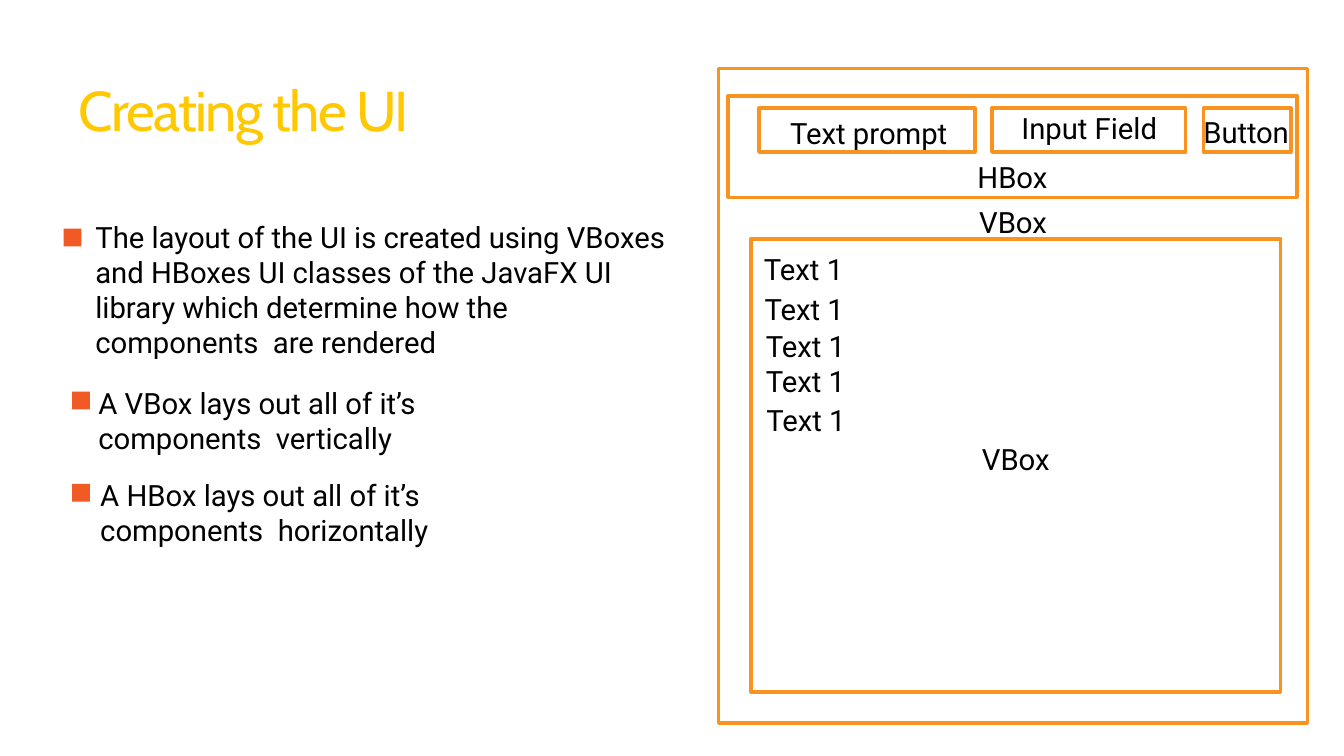
"""Build the slide on laying out a UI with nested boxes."""
from dataclasses import dataclass

from pptx import Presentation
from pptx import util as u
from pptx.dml.color import RGBColor
from pptx.enum import shapes, text

GOLD = RGBColor(0xFF, 0xC8, 0x00)
AMBER = RGBColor(0xF7, 0x93, 0x1E)
RUST = RGBColor(0xF1, 0x5A, 0x24)
BLACK = RGBColor(0, 0, 0)
LEFT, MID = text.PP_ALIGN.LEFT, text.PP_ALIGN.CENTER


@dataclass
class Line:
    words: str
    indent: float = 0
    before: float = 0
    align: text.PP_ALIGN = LEFT
    font: str = "Roboto"
    size: float = 34.5
    color: RGBColor = BLACK
    pitch: float | None = 41.3
    track: int = 0


@dataclass
class Box:
    left: float
    top: float
    width: float
    height: float
    inset: float
    lines: list[Line]

    def place(self) -> list[u.Pt]:
        return [u.Pt(n) for n in (self.left, self.top, self.width, self.height)]


TITLE = Box(92.9, 87.1, 414, 81.4, 1.6, [
    Line("Creating the UI", font="Cabin", size=66, color=GOLD, pitch=None, track=-200)])

BODY = Box(111.6, 255.6, 683.3, 390.2, 2.5, [
    Line("The layout of the UI is created using VBoxes and HBoxes UI classes of the "
         "JavaFX UI library which determine how the components  are rendered", 0.7),
    Line("A VBox lays out all of it’s\vcomponents  vertically", 4.3, 30.9),
    Line("A HBox lays out all of it’s\vcomponents  horizontally", 6.5, 25.2)])

ROW_TOP, ROW_HIGH = 127.4, 51.8
ITEMS = [Line("Text 1", indent, before) for indent, before in
         ((15.1, 0), (15.8, 6.4), (17.3, 1.5), (17.3, 0), (18, 5.3))]
FRAMES = [
    Box(846.7, 80.6, 693.4, 771.1, 160, [Line("VBox", align=MID)]),
    Box(894.2, ROW_TOP, 254.2, ROW_HIGH, 8.2, [Line("Text prompt", 36.7)]),
    Box(1168.6, ROW_TOP, 228.2, ROW_HIGH, 2.3, [Line("Input Field", 34.6)]),
    Box(1417.7, ROW_TOP, 103, ROW_HIGH, 7.1, [Line("Button", track=-10)]),
    Box(857.5, 113, 670.3, 119.5, 74.5, [Line("HBox", align=MID)]),
    Box(884.9, 281.5, 623.5, 533.5, 14.4, ITEMS + [Line("VBox", before=4.2, align=MID)]),
]
MARK_SIDE = 20.9
MARKS = [(74.9, 269.3), (85, 461.5), (85, 570.2)]


def write(frame, box: Box) -> None:
    frame.word_wrap = True
    frame.auto_size = text.MSO_AUTO_SIZE.NONE
    frame.vertical_anchor = text.MSO_ANCHOR.TOP
    frame.margin_left = frame.margin_right = frame.margin_bottom = 0
    frame.margin_top = u.Pt(box.inset)
    for i, line in enumerate(box.lines):
        para = frame.add_paragraph() if i else frame.paragraphs[0]
        para.text = line.words
        para.alignment = line.align
        para.space_before = u.Pt(line.before)
        if line.pitch:
            para.line_spacing = u.Pt(line.pitch)
        para._p.get_or_add_pPr().set("marL", str(u.Pt(line.indent)))
        for run in para.runs:
            run.font.name = line.font
            run.font.size = u.Pt(line.size)
            run.font.color.rgb = line.color
            if line.track:
                run._r.get_or_add_rPr().set("spc", str(line.track))


def draw_frame(slide, box: Box) -> None:
    shape = slide.shapes.add_shape(shapes.MSO_SHAPE.RECTANGLE, *box.place())
    shape.shadow.inherit = False
    shape.fill.background()
    shape.line.color.rgb = AMBER
    shape.line.width = u.Pt(4.12)
    write(shape.text_frame, box)


def draw_mark(slide, left: float, top: float) -> None:
    side = u.Pt(MARK_SIDE)
    shape = slide.shapes.add_shape(
        shapes.MSO_SHAPE.RECTANGLE, u.Pt(left), u.Pt(top), side, side)
    shape.shadow.inherit = False
    shape.fill.solid()
    shape.fill.fore_color.rgb = RUST
    shape.line.fill.background()


def main() -> None:
    deck = Presentation()
    deck.slide_width, deck.slide_height = u.Pt(1583.28), u.Pt(890.64)
    slide = deck.slides.add_slide(deck.slide_layouts[5])
    title = slide.shapes.title
    title.left, title.top, title.width, title.height = TITLE.place()
    write(title.text_frame, TITLE)
    write(slide.shapes.add_textbox(*BODY.place()).text_frame, BODY)
    for box in FRAMES:
        draw_frame(slide, box)
    for left, top in MARKS:
        draw_mark(slide, left, top)
    deck.save("out.pptx")


if __name__ == "__main__":
    main()
